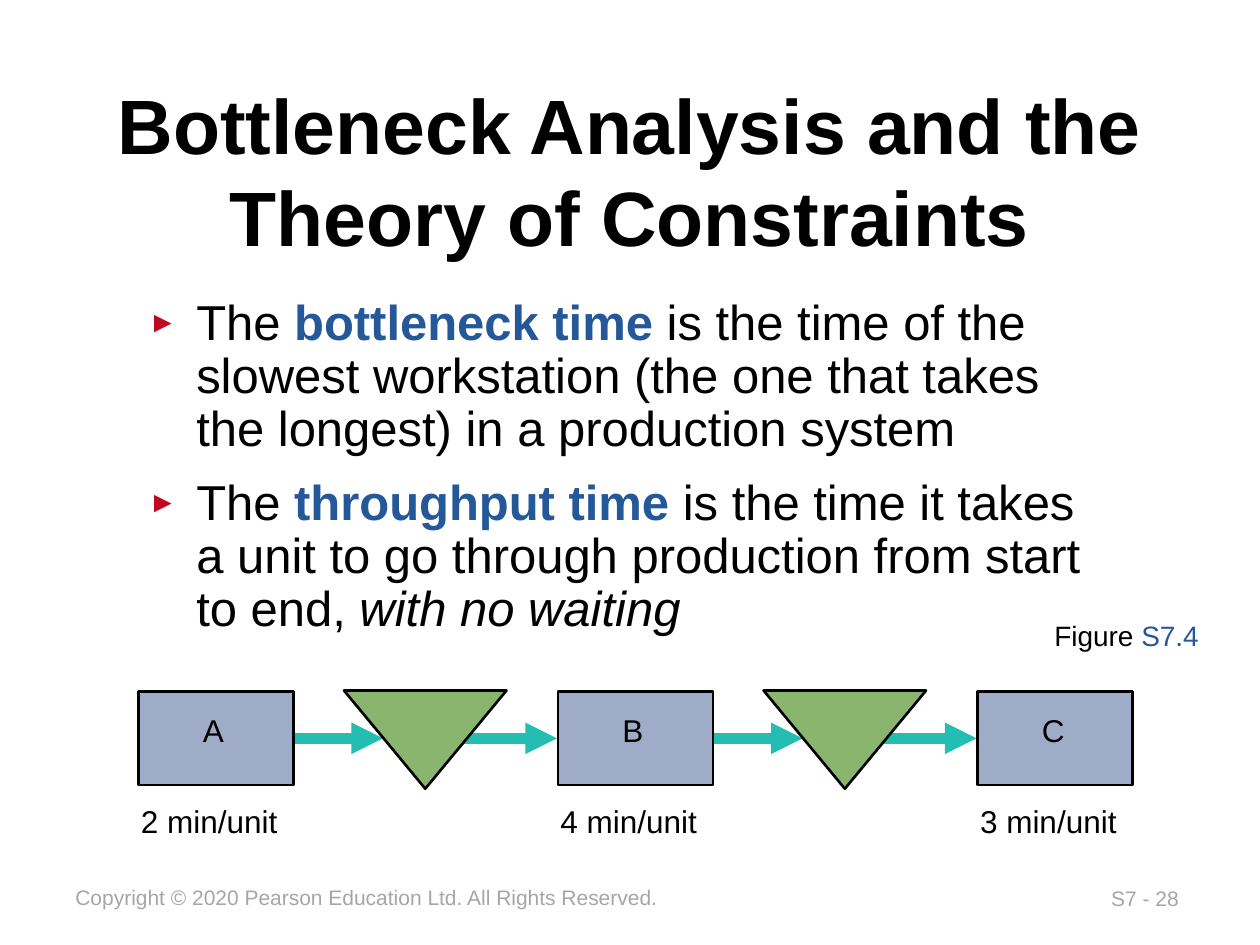
from dataclasses import dataclass

from lxml import etree
from pptx import Presentation
from pptx import util as u
from pptx.dml.color import RGBColor
from pptx.enum import shapes, text
from pptx.oxml import ns

BLACK = RGBColor(0x00, 0x00, 0x00)
GRAY = RGBColor(0xA6, 0xA6, 0xA6)
BLUE = RGBColor(0x25, 0x58, 0x98)
TEAL = RGBColor(0x24, 0xBD, 0xB2)
STATION_FILL = RGBColor(0x9F, 0xAC, 0xC7)
BUFFER_FILL = RGBColor(0x89, 0xB5, 0x6E)
BULLET_COLOR = "BF0922"

FLOW_LEFT, PITCH, ARROW_Y = 1.1, 3.33, 5.86
ARROW_OFFSETS = (1.08, 2.46)
ARROW_LENGTH = 0.86


@dataclass
class Run:
    text: str
    color: RGBColor | None = None
    bold: bool = False
    italic: bool = False


@dataclass
class Station:
    name: str
    time: str


STATIONS = [
    Station("A", "2 min/unit"),
    Station("B", "4 min/unit"),
    Station("C", "3 min/unit"),
]
TITLE = [[Run("Bottleneck Analysis and the Theory of Constraints", bold=True)]]
DEFINITIONS = [
    [
        Run("The "),
        Run("bottleneck time ", BLUE, bold=True),
        Run("is the time of the slowest workstation (the one that takes "
            "the longest) in a production system"),
    ],
    [
        Run("The "),
        Run("throughput time", BLUE, bold=True),
        Run(" is the time it takes a unit to go through production "
            "from start to end, "),
        Run("with no waiting", italic=True),
    ],
]


def add_bullet(p) -> None:
    pPr = p._p.get_or_add_pPr()
    pPr.set("marL", str(u.Inches(0.38)))
    pPr.set("indent", str(u.Inches(-0.38)))
    color = etree.SubElement(pPr, ns.qn("a:buClr"))
    etree.SubElement(color, ns.qn("a:srgbClr"), val=BULLET_COLOR)
    etree.SubElement(pPr, ns.qn("a:buSzPct"), val="60000")
    etree.SubElement(pPr, ns.qn("a:buFont"), typeface="Arial")
    etree.SubElement(pPr, ns.qn("a:buChar"), char="►")


def write_text(sp, paragraphs: list[list[Run]], *, size: float,
               color: RGBColor = BLACK, align=text.PP_ALIGN.LEFT,
               anchor=text.MSO_ANCHOR.TOP, wrap: bool = False,
               bullets: bool = False, insets=(0.1, 0.05)) -> None:
    tf = sp.text_frame
    tf.word_wrap = wrap
    tf.auto_size = (text.MSO_AUTO_SIZE.NONE if wrap
                    else text.MSO_AUTO_SIZE.SHAPE_TO_FIT_TEXT)
    tf.vertical_anchor = anchor
    tf.margin_left = tf.margin_right = u.Inches(insets[0])
    tf.margin_top = tf.margin_bottom = u.Inches(insets[1])
    for i, runs in enumerate(paragraphs):
        p = tf.add_paragraph() if i else tf.paragraphs[0]
        p.alignment = align
        if bullets:
            add_bullet(p)
            p.line_spacing = 0.9
            p.space_after = u.Pt(12)
        for run in runs:
            r = p.add_run()
            r.text = run.text
            r.font.name = "Arial"
            r.font.size = u.Pt(size)
            r.font.bold = run.bold
            r.font.italic = run.italic
            r.font.color.rgb = run.color or color


def add_text(s, x: float, y: float, w: float, h: float,
             paragraphs: list[list[Run]], **fmt) -> None:
    sp = s.shapes.add_textbox(u.Inches(x), u.Inches(y), u.Inches(w), u.Inches(h))
    write_text(sp, paragraphs, **fmt)


def add_box(s, kind, x: float, y: float, w: float, h: float, fill: RGBColor):
    sp = s.shapes.add_shape(kind, u.Inches(x), u.Inches(y), u.Inches(w), u.Inches(h))
    sp.shadow.inherit = False
    sp.fill.solid()
    sp.fill.fore_color.rgb = fill
    sp.line.color.rgb = BLACK
    sp.line.width = u.Pt(1.5)
    return sp


def add_arrow(s, x: float) -> None:
    line = s.shapes.add_connector(
        shapes.MSO_CONNECTOR.STRAIGHT, u.Inches(x), u.Inches(ARROW_Y),
        u.Inches(x + ARROW_LENGTH), u.Inches(ARROW_Y))
    line.line.color.rgb = TEAL
    line.line.width = u.Pt(6)
    etree.SubElement(line.line._get_or_add_ln(), ns.qn("a:tailEnd"), type="triangle")
    etree.SubElement(line._element.spPr, ns.qn("a:effectLst"))


def add_station(s, x: float, station: Station) -> None:
    add_text(s, x - 0.08, 6.32, 1.3, 0.4, [[Run(station.time)]], size=18)
    sp = add_box(s, shapes.MSO_SHAPE.RECTANGLE, x, 5.49, 1.23, 0.74, STATION_FILL)
    write_text(sp, [[Run(station.name)]], size=18, insets=(0.51, 0.21))


def add_buffer(s, x: float) -> None:
    for offset in ARROW_OFFSETS:
        add_arrow(s, x + offset)
    sp = add_box(s, shapes.MSO_SHAPE.ISOSCELES_TRIANGLE,
                 x + 1.63, 5.48, 1.29, 0.78, BUFFER_FILL)
    sp.rotation = 180


def main() -> None:
    """Build the bottleneck analysis slide."""
    prs = Presentation()
    prs.slide_width, prs.slide_height = u.Inches(10), u.Inches(7.5)
    s = prs.slides.add_slide(prs.slide_layouts[6])

    add_text(s, 8.72, 6.98, 0.76, 0.3, [[Run("S7 - 28")]], size=12, color=GRAY)
    add_text(s, 0.5, 6.97, 4.86, 0.3,
             [[Run("Copyright © 2020 Pearson Education Ltd. All Rights Reserved.")]],
             size=12, color=GRAY)
    add_text(s, 0.75, 0.48, 8.5, 1.73, TITLE, size=44, wrap=True,
             align=text.PP_ALIGN.CENTER, anchor=text.MSO_ANCHOR.MIDDLE)
    add_text(s, 1.08, 2.32, 7.83, 4.18, DEFINITIONS, size=28, wrap=True, bullets=True)

    lefts = [FLOW_LEFT + i * PITCH for i in range(len(STATIONS))]
    for x in lefts[:-1]:
        add_buffer(s, x)
    for x, station in zip(lefts, STATIONS):
        add_station(s, x, station)
    add_text(s, 8.27, 4.86, 1.4, 0.37, [[Run("Figure "), Run("S7.4", BLUE)]], size=16)

    prs.save("out.pptx")


if __name__ == "__main__":
    main()
